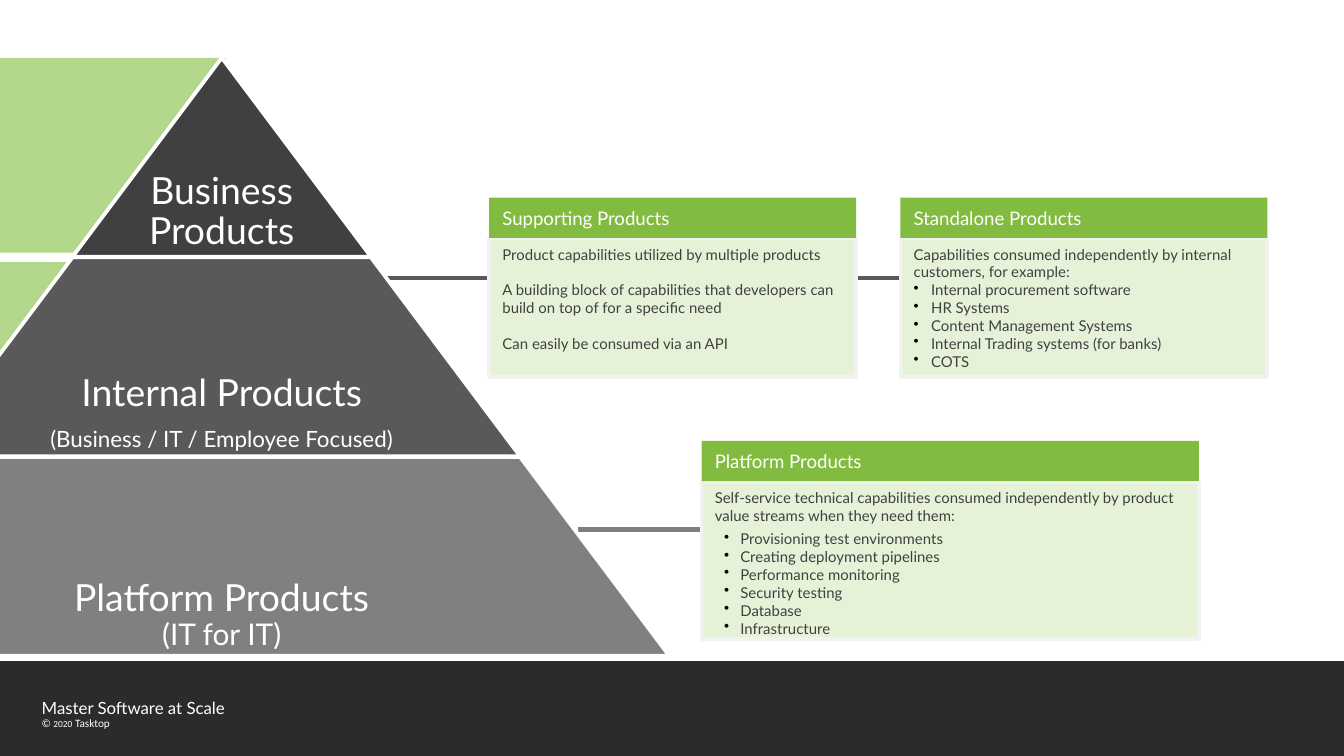
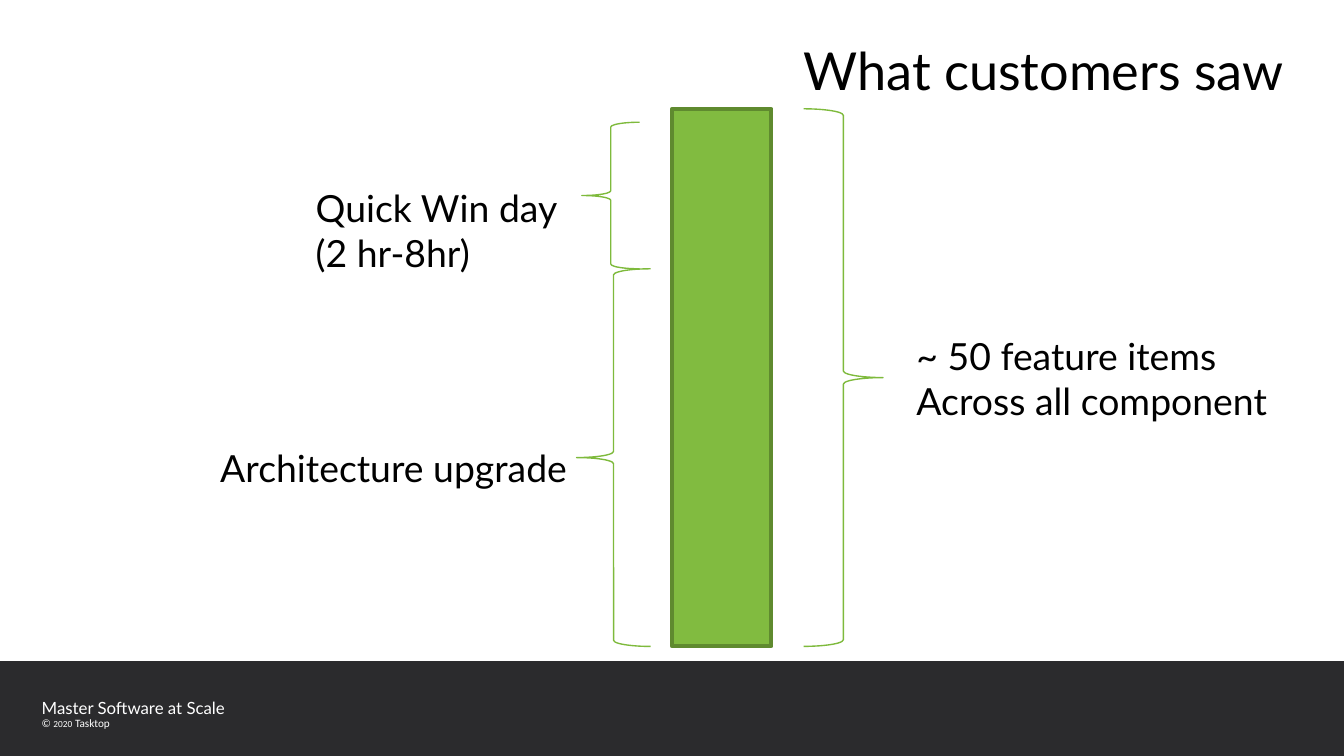
"""Build two slides: a product pyramid and a customer-view bar."""
from lxml import etree
from pptx import Presentation
from pptx.dml.color import RGBColor
from pptx.enum.shapes import MSO_CONNECTOR, MSO_SHAPE
from pptx.enum.text import MSO_ANCHOR, MSO_AUTO_SIZE, PP_ALIGN
from pptx.oxml.ns import qn
from pptx.util import Inches, Pt

RECTANGLE = MSO_SHAPE.RECTANGLE
TRAPEZOID = MSO_SHAPE.TRAPEZOID
LEFT_BRACE = MSO_SHAPE.LEFT_BRACE
RIGHT_BRACE = MSO_SHAPE.RIGHT_BRACE
STRAIGHT = MSO_CONNECTOR.STRAIGHT
TOP, MIDDLE, BOTTOM = MSO_ANCHOR.TOP, MSO_ANCHOR.MIDDLE, MSO_ANCHOR.BOTTOM
LEFT, CENTER = PP_ALIGN.LEFT, PP_ALIGN.CENTER
FIT_SHAPE = MSO_AUTO_SIZE.SHAPE_TO_FIT_TEXT

COLUMNS, ROWS, CELL = 100, 56.25, 0.1
COLORS = {
    "white": "FFFFFF", "black": "000000", "footer": "2B2B2D",
    "green": "81BB40", "band": "B3D78B", "card": "E6F2D8",
    "card_edge": "F2F2F2", "bar_edge": "5F8A2F", "brace": "7EBA3C",
    "top": "404040", "middle": "595959", "base": "808080",
    "base_line": "7F7F7F", "body": "404040",
}
DEFAULT_INSETS = (0.1, 0.05, 0.1, 0.05)
FOOTER_INSETS = (0.07, 0.04, 0.07, 0.04)
TIER_INSETS = (0.03, 0.03, 0.03, 0.03)
TITLE_INSETS = (0, 0.04, 0.07, 0.04)


def cells(count):
    """Convert a number of grid cells to a length."""
    return Inches(round(count * CELL, 3))


def color(name):
    """Return the named color."""
    return RGBColor.from_string(COLORS[name])


def assign(target, values):
    """Set every attribute given in a dict of format values."""
    for name, value in values.items():
        setattr(target, name, value)


class Deck:
    """Hold the style and the current slide."""

    def __init__(self):
        """Start an empty presentation on the grid."""
        self.presentation = Presentation()
        assign(self.presentation, {"slide_width": cells(COLUMNS),
                                   "slide_height": cells(ROWS)})
        self.slide = None

    def new_slide(self):
        """Add a blank slide with the shared footer."""
        layout = self.presentation.slide_layouts[6]
        self.slide = self.presentation.slides.add_slide(layout)
        self.shape(RECTANGLE, 0, 49.2, COLUMNS, ROWS - 49.2, "footer")
        self.text(2.4, 51.5, 61.5, 2.3, ["Master Software at Scale"],
                  9, "white", insets=FOOTER_INSETS)
        mark = [("© ", 6), ("2020", 5), (" Tasktop", 6)]
        self.text(2.4, 52.9, 23.6, 1.8, [mark], 6, "white",
                  insets=FOOTER_INSETS, font="Calibri")

    def shape(self, kind, left, top, width, height, fill=None, line=None,
              weight=2):
        """Add a preset shape with a plain fill and line."""
        shape = self.slide.shapes.add_shape(
            kind, *map(cells, (left, top, width, height)))
        shape.shadow.inherit = False
        if fill:
            shape.fill.solid()
            shape.fill.fore_color.rgb = color(fill)
        else:
            shape.fill.background()
        if line:
            shape.line.color.rgb = color(line)
            shape.line.width = Pt(weight)
        else:
            shape.line.fill.background()
        return shape

    def connector(self, left, right, row, line):
        """Add a level line between two columns."""
        connector = self.slide.shapes.add_connector(
            STRAIGHT, *map(cells, (left, row, right, row)))
        connector.line.color.rgb = color(line)
        connector.line.width = Pt(2.25)
        properties = connector._element.spPr
        etree.SubElement(properties, qn("a:effectLst"))

    def fill_text(self, shape, paragraphs, size, ink, anchor=TOP, align=LEFT,
                  insets=DEFAULT_INSETS, wrap=True, font="Lato", spacing=None,
                  before=0, after=0, bullet=None):
        """Fill a shape with paragraphs; a tuple in one is a sized run."""
        frame = shape.text_frame
        sides = ("margin_left", "margin_top", "margin_right", "margin_bottom")
        assign(frame, dict(zip(sides, map(Inches, insets))))
        assign(frame, {"word_wrap": wrap, "vertical_anchor": anchor})
        for index, content in enumerate(paragraphs):
            paragraph = frame.add_paragraph() if index else frame.paragraphs[0]
            if bullet and index:
                self.bullet(paragraph, *bullet)
            assign(paragraph, {"alignment": align, "line_spacing": spacing,
                               "space_before": Pt(before if index else 0),
                               "space_after": Pt(0 if index else after)})
            runs = [(content, size)] if isinstance(content, str) else content
            for run_text, run_size in runs:
                if run_text == "\n":
                    paragraph.add_line_break()
                    continue
                run = paragraph.add_run()
                run.text = run_text
                assign(run.font, {"name": font, "size": Pt(run_size)})
                run.font.color.rgb = color(ink)

    def bullet(self, paragraph, margin, hanging):
        """Give a paragraph a black bullet and a hanging indent."""
        properties = paragraph._p.get_or_add_pPr()
        properties.set("marL", str(Inches(margin)))
        properties.set("indent", str(-Inches(hanging)))
        tint = etree.SubElement(properties, qn("a:buClr"))
        etree.SubElement(tint, qn("a:srgbClr"), val=COLORS["black"])
        etree.SubElement(properties, qn("a:buChar"), char="•")

    def text(self, left, top, width, height, paragraphs, size, ink, **style):
        """Add a text box."""
        box = self.slide.shapes.add_textbox(
            *map(cells, (left, top, width, height)))
        self.fill_text(box, paragraphs, size, ink, **style)
        return box

    def label(self, left, top, width, paragraphs):
        """Add a large label that grows with its text."""
        height = 1.1 + 3.3 * len(paragraphs)
        box = self.text(left, top, width, height, paragraphs, 20, "black",
                        wrap=False)
        box.text_frame.auto_size = FIT_SHAPE

    def tier(self, index, fill, text_width, paragraphs):
        """Add one level of the pyramid, counted from its tip."""
        center, step, height = 16.5, 22.2, 14.8
        top, width = 4.3 + 14.85 * index, step * (index + 1)
        level = self.shape(TRAPEZOID, center - width / 2, top, width, height,
                           fill, "white")
        level.adjustments[0] = 0.75
        self.text(center - text_width / 2, top, text_width, height,
                  paragraphs, 20, "white", anchor=BOTTOM, align=CENTER,
                  insets=TIER_INSETS, spacing=0.9, after=7)

    def card(self, left, top, width, height, heading, paragraphs, **style):
        """Add a card with a green heading over a pale body."""
        body = self.shape(RECTANGLE, left, top + 3.05, width, height,
                          "card", "card_edge")
        self.fill_text(body, paragraphs, 8, "body", **style)
        header = self.shape(RECTANGLE, left, top, width, 3, "green")
        self.fill_text(header, [heading], 10, "white", anchor=MIDDLE)

    def brace(self, kind, left, top, width, height):
        """Add a thin green brace."""
        self.shape(kind, left, top, width, height, line="brace", weight=0.75)


def pyramid_slide(deck):
    """Draw the product pyramid and its explanatory cards."""
    deck.new_slide()
    deck.connector(43, 81.6, 39.4, "base_line")
    deck.connector(28.3, 67, 20.7, "middle")
    deck.shape(RECTANGLE, -45.5, 19.5, 58.9, 14.2, "band")
    deck.shape(RECTANGLE, -45.5, 4.3, 62.3, 14.5, "band")
    deck.tier(0, "top", 22.2,
              [[("Business", 20), ("\n", 20), ("Products", 20)]])
    deck.tier(1, "middle", 28.9, [
        "Internal Products", [("(Business / IT / Employee Focused)", 12)]])
    deck.tier(2, "base", 43.3, [
        [("Platform Products", 20), ("\n", 20), ("(IT for IT)", 16)]])
    deck.card(67, 14.7, 27.3, 10.3, "Standalone Products", [
        "Capabilities consumed independently by internal customers, "
        "for example:",
        "Internal procurement software",
        "HR Systems",
        "Content Management Systems",
        "Internal Trading systems (for banks)",
        "COTS",
    ], bullet=(0.13, 0.13))
    deck.card(36.4, 14.7, 27.3, 10.3, "Supporting Products", [
        "Product capabilities utilized by multiple products",
        "A building block of capabilities that developers can build on top "
        "of for a specific need",
        "Can easily be consumed via an API",
    ], before=9.6)
    deck.card(52.2, 32.8, 37, 11.7, "Platform Products", [
        "Self-service technical capabilities consumed independently by "
        "product value streams when they need them:",
        "Provisioning test environments",
        "Creating deployment pipelines",
        "Performance monitoring",
        "Security testing",
        "Database",
        "Infrastructure",
    ], bullet=(0.19, 0.12), after=3)


def customer_slide(deck):
    """Draw the bar, its braces and their labels."""
    deck.new_slide()
    deck.brace(LEFT_BRACE, 42.9, 20, 5.5, 28.1)
    deck.label(15.4, 32.6, 28.7, ["Architecture upgrade"])
    deck.brace(LEFT_BRACE, 43.3, 9.1, 4.3, 10.9)
    deck.label(22.5, 13.3, 20.5, ["Quick Win day", "(2 hr-8hr)"])
    deck.text(59.8, 0, 37.6, 10.9, ["What customers saw"], 28, "black",
              anchor=MIDDLE, insets=TITLE_INSETS, spacing=0.9)
    deck.shape(RECTANGLE, 50, 8.1, 7.4, 40, "green", "bar_edge")
    deck.brace(RIGHT_BRACE, 59.8, 8.1, 5.9, 40)
    deck.label(67.2, 24.3, 28.8,
               ["~ 50 feature items", "Across all component"])


def main():
    """Build and save the presentation."""
    deck = Deck()
    pyramid_slide(deck)
    customer_slide(deck)
    deck.presentation.save("out.pptx")


if __name__ == "__main__":
    main()
